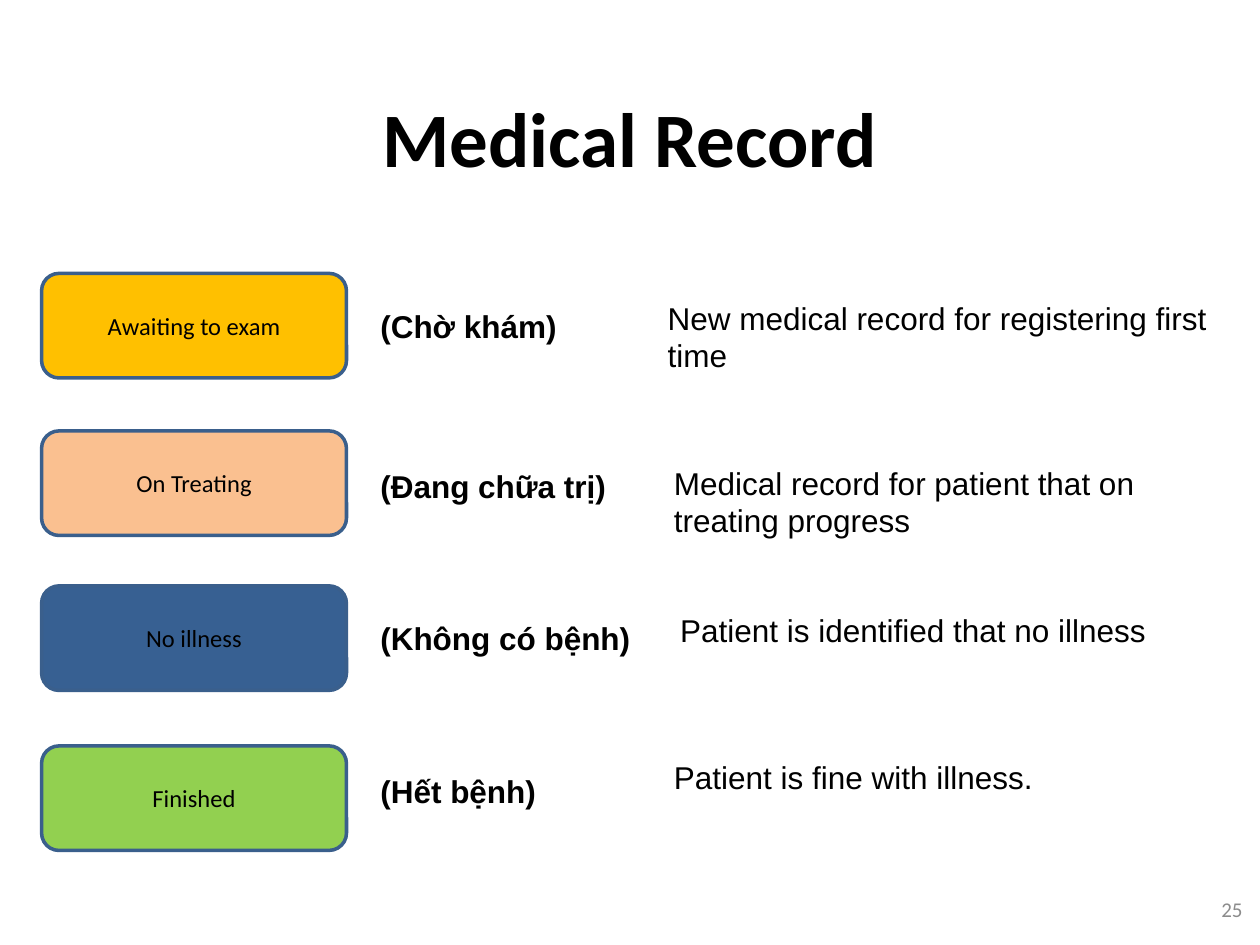
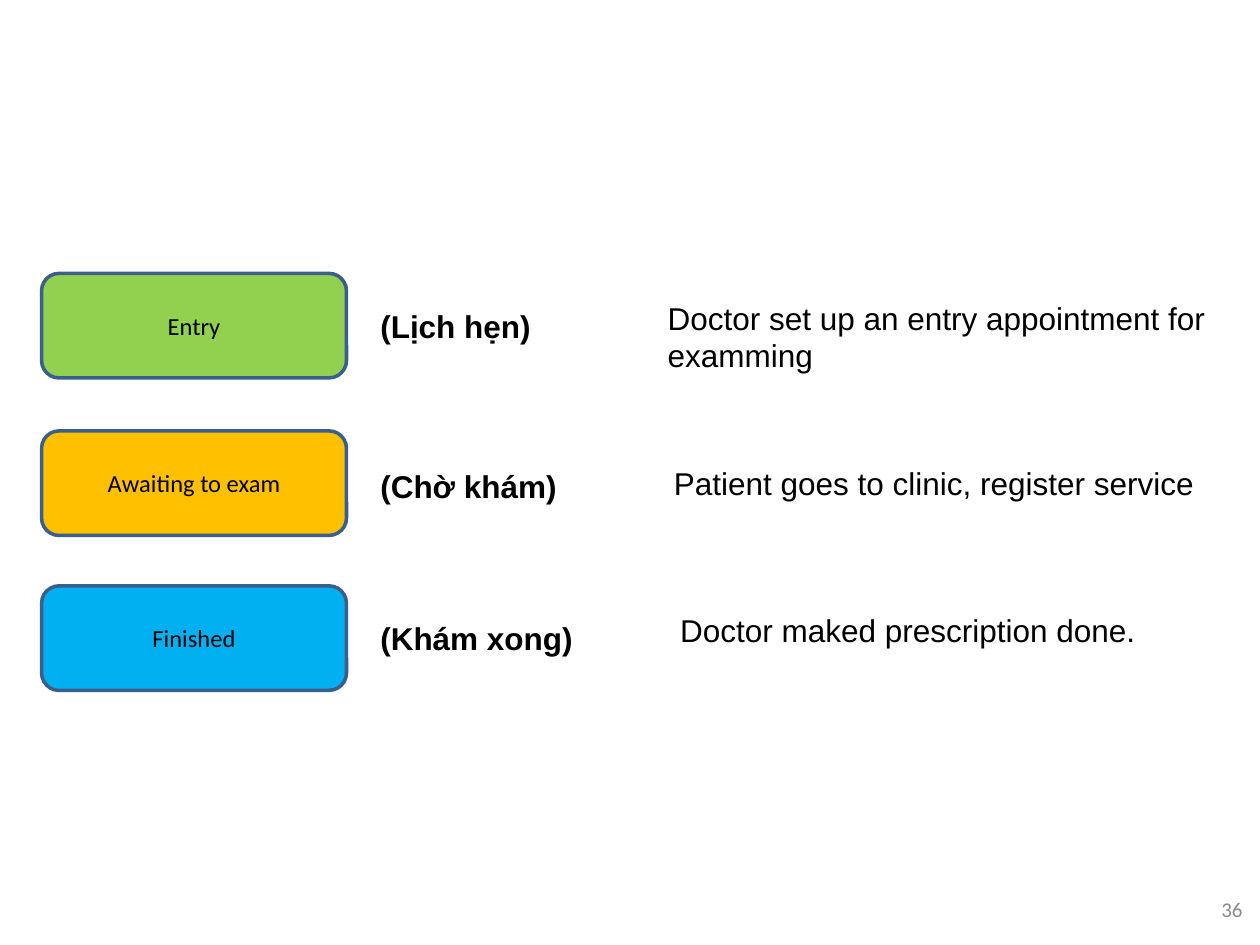
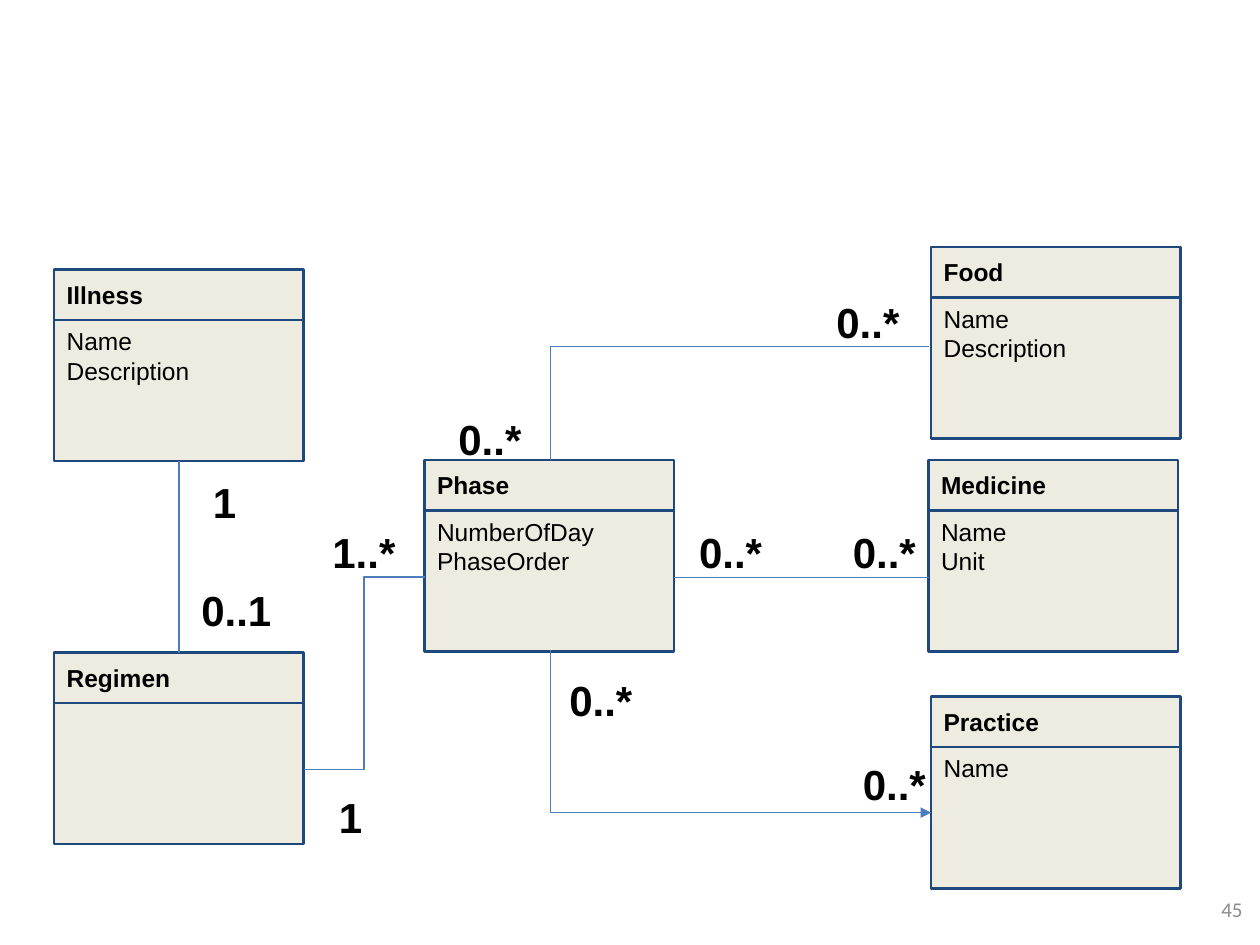
"""Build three slides: record statuses, appointment statuses and a regimen class diagram."""
import lxml.etree
import pptx
import pptx.dml.color
import pptx.enum.shapes
import pptx.enum.text
import pptx.oxml.ns
import pptx.util
from pptx.util import Inches

ALIGN = pptx.enum.text.PP_ALIGN
ANCHOR = pptx.enum.text.MSO_ANCHOR
SHAPE = pptx.enum.shapes.MSO_SHAPE
CONNECTOR = pptx.enum.shapes.MSO_CONNECTOR

BLACK, GREY = "000000", "8C8C8C"
STATUS_LINE = "3A5F8C"
CLASS_FILL, CLASS_LINE, LINK_COLOR = "EEECE1", "1F497D", "4B7EBC"
AMBER, PEACH, NAVY, GREEN, SKY = "FFC000", "FAC090", "376092", "92D050", "00B0F0"

STATUS_LEFT, STATUS_WIDTH, STATUS_HEIGHT = 0.33, 2.42, 0.83
CAPTION_LEFT, CAPTION_WIDTH, DETAIL_WIDTH, ROW_TEXT_HEIGHT = 2.92, 2.28, 4.59, 0.63
ROWS = [
    {"status_top": 2.17, "caption_top": 2.27, "detail_left": 5.2, "detail_top": 2.27},
    {"status_top": 3.42, "caption_top": 3.54, "detail_left": 5.25, "detail_top": 3.58},
    {"status_top": 4.65, "caption_top": 4.75, "detail_left": 5.3, "detail_top": 4.75},
    {"status_top": 5.92, "caption_top": 5.96, "detail_left": 5.25, "detail_top": 5.92},
]
STATUS_SLIDES = [
    ("25", "Medical Record", [
        ("Awaiting to exam", AMBER, "(Chờ khám)", "New medical record for registering first time"),
        ("On Treating", PEACH, "(Đang chữa trị)", "Medical record for patient that on treating progress"),
        ("No illness", NAVY, "(Không có bệnh)", "Patient is identified that no illness"),
        ("Finished", GREEN, "(Hết bệnh)", "Patient is fine with illness."),
    ]),
    ("36", None, [
        ("Entry", GREEN, "(Lịch hẹn)", "Doctor set up an entry appointment for examming"),
        ("Awaiting to exam", AMBER, "(Chờ khám)", "Patient goes to clinic, register service"),
        ("Finished", SKY, "(Khám xong)", "Doctor maked prescription done."),
    ]),
]

CLASS_WIDTH, HEADER_HEIGHT, BODY_OFFSET, BODY_HEIGHT = 1.98, 0.4, 0.35, 1.17
CLASSES = [
    ("Illness", 0.43, 2.14, ["Name", "Description"]),
    ("Regimen", 0.43, 5.18, []),
    ("Medicine", 7.37, 3.65, ["Name", "Unit"]),
    ("Food", 7.39, 1.96, ["Name", "Description"]),
    ("Practice", 7.39, 5.53, ["Name"]),
    ("Phase", 3.37, 3.65, ["NumberOfDay", "PhaseOrder"]),
]
ELBOWS = [
    {"start": (2.41, 6.11), "end": (3.37, 4.58), "outline": "bentConnector3", "arrow": False},
    {"start": (7.37, 2.75), "end": (4.37, 3.65), "outline": "bentConnector2", "arrow": False},
    {"start": (7.39, 6.45), "end": (4.37, 5.16), "outline": "bentConnector2", "arrow": True},
]
MULTIPLICITIES = [
    ("1", 1.59, 3.68), ("0..1", 1.5, 4.54), ("1", 2.59, 6.18), ("1..*", 2.54, 4.08),
    ("0..*", 3.54, 3.18), ("0..*", 6.54, 2.25), ("0..*", 6.67, 4.08),
    ("0..*", 6.75, 5.92), ("0..*", 4.42, 5.25), ("0..*", 5.45, 4.08),
]


def rgb(color):
    return pptx.dml.color.RGBColor.from_string(color)


def write(shape, lines, size, font="Arial", bold=False, color=BLACK,
          align=ALIGN.LEFT, anchor=ANCHOR.TOP):
    frame = shape.text_frame
    frame.word_wrap = True
    frame.vertical_anchor = anchor
    frame.margin_left = frame.margin_right = Inches(0.1)
    frame.margin_top = frame.margin_bottom = Inches(0.1)
    frame.text = "\n".join(lines)
    for paragraph in frame.paragraphs:
        paragraph.alignment = align
        paragraph.font.name = font
        paragraph.font.size = pptx.util.Pt(size)
        paragraph.font.bold = bold
        paragraph.font.color.rgb = rgb(color)


def add_text(slide, box, text, size, **style):
    write(slide.shapes.add_textbox(*map(Inches, box)), [text], size, **style)


def add_box(shapes, preset, box, fill, line, weight):
    shape = shapes.add_shape(preset, *map(Inches, box))
    shape.shadow.inherit = False
    shape.fill.solid()
    shape.fill.fore_color.rgb = rgb(fill)
    shape.line.color.rgb = rgb(line)
    shape.line.width = pptx.util.Pt(weight)
    return shape


def add_slide(deck, number, title=None):
    slide = deck.slides.add_slide(deck.slide_layouts[5 if title else 6])
    if title:
        heading = slide.shapes.title
        heading.left, heading.top, heading.width, heading.height = map(Inches, (0.5, 0.3, 9, 1.25))
        write(heading, [title], 44, font="Calibri", bold=True,
              align=ALIGN.CENTER, anchor=ANCHOR.BOTTOM)
    add_text(slide, (9.36, 6.93, 0.6, 0.57), number, 12, font="Calibri", color=GREY,
             align=ALIGN.RIGHT, anchor=ANCHOR.MIDDLE)
    return slide


def add_statuses(slide, statuses):
    for (status, fill, caption, detail), row in zip(statuses, ROWS):
        badge = add_box(slide.shapes, SHAPE.ROUNDED_RECTANGLE,
                        (STATUS_LEFT, row["status_top"], STATUS_WIDTH, STATUS_HEIGHT),
                        fill, STATUS_LINE, 2)
        write(badge, [status], 14, font="Calibri", align=ALIGN.CENTER, anchor=ANCHOR.MIDDLE)
        add_text(slide, (CAPTION_LEFT, row["caption_top"], CAPTION_WIDTH, ROW_TEXT_HEIGHT),
                 caption, 18, bold=True, anchor=ANCHOR.MIDDLE)
        add_text(slide, (row["detail_left"], row["detail_top"], DETAIL_WIDTH, ROW_TEXT_HEIGHT),
                 detail, 18)


def add_class(slide, name, left, top, attributes):
    group = slide.shapes.add_group_shape()
    body = add_box(group.shapes, SHAPE.RECTANGLE,
                   (left, top + BODY_OFFSET, CLASS_WIDTH, BODY_HEIGHT),
                   CLASS_FILL, CLASS_LINE, 1.5)
    if attributes:
        write(body, attributes, 14)
    header = add_box(group.shapes, SHAPE.RECTANGLE, (left, top, CLASS_WIDTH, HEADER_HEIGHT),
                     CLASS_FILL, CLASS_LINE, 1.5)
    write(header, [name], 14, bold=True, anchor=ANCHOR.MIDDLE)
    return header, body


def add_element(parent, tag, **attributes):
    lxml.etree.SubElement(parent, pptx.oxml.ns.qn(tag), **attributes)


def add_link(slide, kind, start=(0, 0), end=(0, 0)):
    link = slide.shapes.add_connector(kind, *map(Inches, start + end))
    link.line.color.rgb = rgb(LINK_COLOR)
    link.line.width = pptx.util.Pt(0.75)
    add_element(link._element.spPr, "a:effectLst")
    return link


def join(slide, start, start_side, end, end_side):
    link = add_link(slide, CONNECTOR.STRAIGHT)
    link.begin_connect(start, start_side)
    link.end_connect(end, end_side)


def add_elbow(slide, start, end, outline, arrow):
    properties = add_link(slide, CONNECTOR.ELBOW, start, end)._element.spPr
    properties.find(pptx.oxml.ns.qn("a:prstGeom")).set("prst", outline)
    if arrow:
        add_element(properties.find(pptx.oxml.ns.qn("a:ln")), "a:headEnd", type="triangle")


def add_class_diagram(slide):
    parts = {name: add_class(slide, name, left, top, attributes)
             for name, left, top, attributes in CLASSES}
    join(slide, parts["Illness"][1], 2, parts["Regimen"][0], 0)
    join(slide, parts["Phase"][1], 3, parts["Medicine"][1], 1)
    for elbow in ELBOWS:
        add_elbow(slide, **elbow)
    for multiplicity, left, top in MULTIPLICITIES:
        width = 0.41 if len(multiplicity) == 1 else 0.8
        add_text(slide, (left, top, width, 0.41), multiplicity, 24, bold=True)


def main():
    deck = pptx.Presentation()
    deck.slide_width, deck.slide_height = Inches(10), Inches(7.5)
    for number, title, statuses in STATUS_SLIDES:
        add_statuses(add_slide(deck, number, title), statuses)
    add_class_diagram(add_slide(deck, "45"))
    deck.save("out.pptx")


if __name__ == "__main__":
    main()
